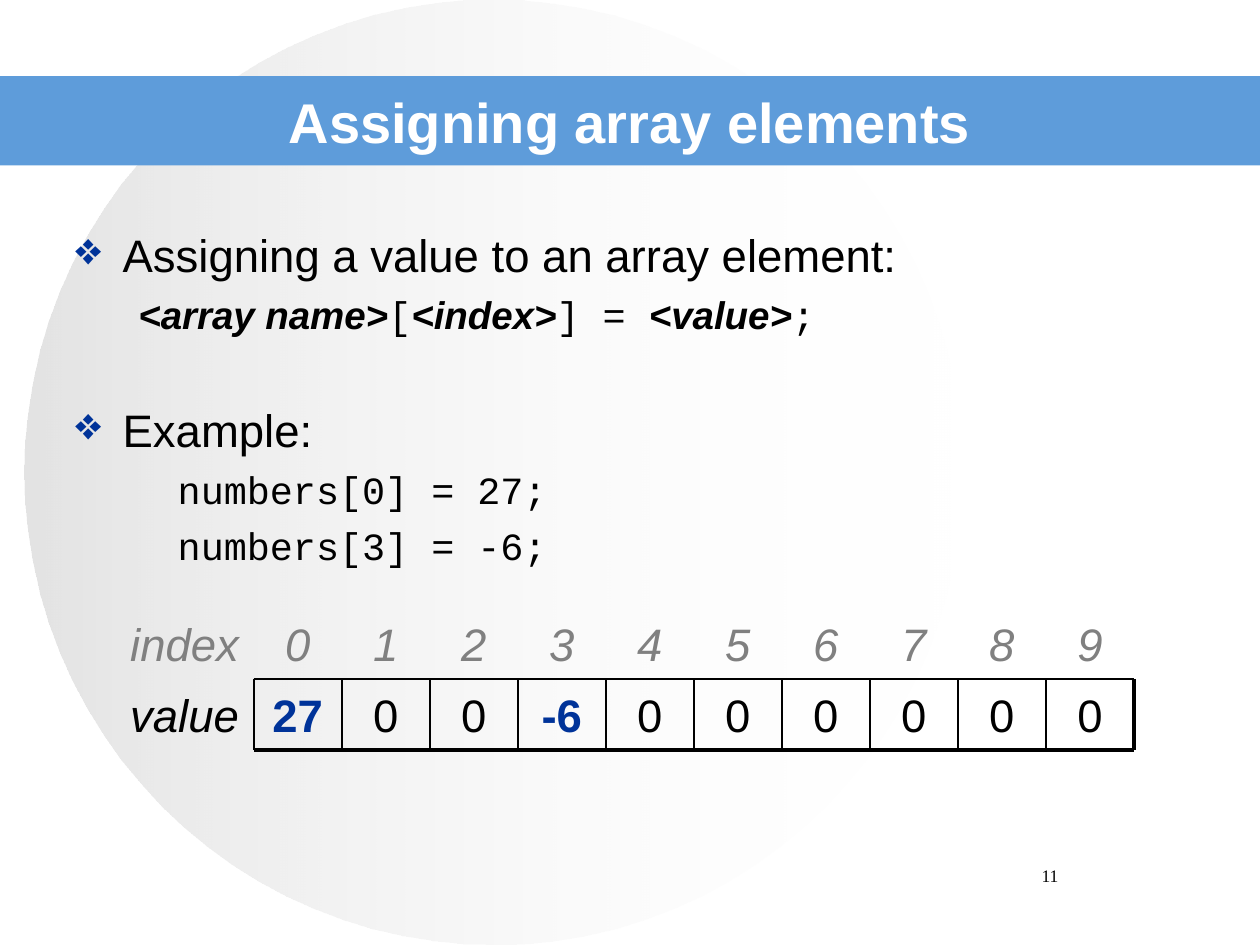
from lxml.etree import SubElement
from pptx import Presentation
from pptx.dml.color import RGBColor
from pptx.enum.shapes import MSO_CONNECTOR, MSO_SHAPE
from pptx.enum.text import MSO_ANCHOR, PP_ALIGN
from pptx.oxml.ns import qn
from pptx.util import Pt

BLACK = RGBColor(0, 0, 0)
WHITE = RGBColor(255, 255, 255)
SILVER = RGBColor(0xC0, 0xC0, 0xC0)
GRAY = RGBColor(0x80, 0x80, 0x80)
BAND_BLUE = RGBColor(0x5E, 0x9C, 0xDA)
ACCENT_BLUE = RGBColor(0, 0x33, 0x99)

SANS = {"name": "Arial", "size": Pt(26)}
SYNTAX = {"name": "Arial", "size": Pt(22), "bold": True, "italic": True}
CODE = {"name": "Courier New", "size": Pt(22)}


def add_run(paragraph, text, color=BLACK, **font_format):
    run = paragraph.add_run()
    run.text = text
    run.font.color.rgb = color
    for name, value in font_format.items():
        setattr(run.font, name, value)


def add_text_frame(shapes, box, anchor=MSO_ANCHOR.TOP):
    frame = shapes.add_textbox(*map(Pt, box)).text_frame
    frame.word_wrap = True
    frame.vertical_anchor = anchor
    return frame


def add_centered_text(shapes, box, text, anchor=MSO_ANCHOR.MIDDLE, **text_format):
    paragraph = add_text_frame(shapes, box, anchor).paragraphs[0]
    paragraph.alignment = PP_ALIGN.CENTER
    add_run(paragraph, text, **text_format)


def add_plain_shape(shapes, preset, box):
    shape = shapes.add_shape(preset, *map(Pt, box))
    shape.shadow.inherit = False
    shape.line.fill.background()
    return shape


def add_background_circle(shapes, box):
    fill = add_plain_shape(shapes, MSO_SHAPE.OVAL, box).fill
    fill.gradient()
    fill.gradient_angle = 0
    for stop, color, opacity in zip(fill.gradient_stops, (SILVER, WHITE), (44, 0)):
        stop.color.rgb = color
        color_element = stop.color._xFill if hasattr(stop.color, "_xFill") else None
        if color_element is None:
            color_element = stop._gs
        rgb_element = color_element.find(qn("a:srgbClr"))
        SubElement(rgb_element, qn("a:alpha"), val=str(opacity * 1000))


def add_title_band(shapes, box, title):
    band = add_plain_shape(shapes, MSO_SHAPE.RECTANGLE, box)
    band.fill.solid()
    band.fill.fore_color.rgb = BAND_BLUE
    add_centered_text(shapes, box, title, color=WHITE, name="Arial", size=Pt(32), bold=True)


def set_indent(paragraph, margin, bullet=None):
    properties = paragraph._p.get_or_add_pPr()
    properties.set("marL", str(Pt(margin)))
    if bullet:
        properties.set("indent", str(-Pt(margin)))
        bullet_color = SubElement(properties, qn("a:buClr"))
        SubElement(bullet_color, qn("a:srgbClr"), val=str(ACCENT_BLUE))
        SubElement(properties, qn("a:buChar"), char=bullet)


def add_body(shapes, box):
    lines = [
        (27, "❖", 0, [("Assigning a value to an array element:", SANS)]),
        (36, None, 5.5, [
            ("<array name>", SYNTAX), ("[", CODE), ("<index>", SYNTAX),
            ("] = ", CODE), ("<value>", SYNTAX), (";", CODE),
        ]),
        (27, "❖", 37, [("Example:", SANS)]),
        (58.5, None, 5.5, [("numbers[0] = 27;", CODE)]),
        (58.5, None, 5.5, [("numbers[3] = -6;", CODE)]),
    ]
    frame = add_text_frame(shapes, box)
    for number, (margin, bullet, space, runs) in enumerate(lines):
        paragraph = frame.add_paragraph() if number else frame.paragraphs[0]
        set_indent(paragraph, margin, bullet)
        paragraph.space_before = Pt(space)
        for text, font_format in runs:
            add_run(paragraph, text, **font_format)


def add_line(shapes, start, end, width):
    line = shapes.add_connector(MSO_CONNECTOR.STRAIGHT, *map(Pt, start + end))
    line.line.color.rgb = BLACK
    line.line.width = Pt(width)
    SubElement(line._element.spPr, qn("a:effectLst"))


def add_array(shapes, box, values, changed):
    left, top, width, height = box
    label_width = 79
    row_height = height / 2
    cell_width = (width - label_width) / len(values)
    grid_left, grid_top = left + label_width, top + row_height
    right, bottom = left + width, top + height

    index_format = {"color": GRAY, "italic": True, **SANS}
    add_centered_text(shapes, (left, top, label_width, row_height), "index", **index_format)
    add_centered_text(shapes, (left, grid_top, label_width, row_height), "value",
                      italic=True, **SANS)
    for index, value in enumerate(values):
        x = grid_left + index * cell_width
        is_changed = index in changed
        add_centered_text(shapes, (x, top, cell_width, row_height), str(index), **index_format)
        add_centered_text(shapes, (x, grid_top, cell_width, row_height), str(value),
                          color=ACCENT_BLUE if is_changed else BLACK, bold=is_changed, **SANS)
        add_line(shapes, (x, grid_top), (x, bottom), 1)
    add_line(shapes, (right, grid_top), (right, bottom), 2.25)
    add_line(shapes, (grid_left, grid_top), (right, grid_top), 1)
    add_line(shapes, (grid_left, bottom), (right, bottom), 2.25)


def main():
    presentation = Presentation()
    presentation.slide_width, presentation.slide_height = Pt(720), Pt(540)
    slide = presentation.slides.add_slide(presentation.slide_layouts[6])
    shapes = slide.shapes
    add_background_circle(shapes, (14, 0, 536, 540))
    add_title_band(shapes, (0, 43.5, 720, 51), "Assigning array elements")
    add_centered_text(shapes, (516, 491, 168, 36), "11", MSO_ANCHOR.TOP,
                      name="Times New Roman", size=Pt(10))
    add_body(shapes, (36, 126, 648, 356))
    add_array(shapes.add_group_shape().shapes, (66, 347.5, 582, 81),
              [27, 0, 0, -6, 0, 0, 0, 0, 0, 0], changed={0, 3})
    presentation.save("out.pptx")


if __name__ == "__main__":
    main()
